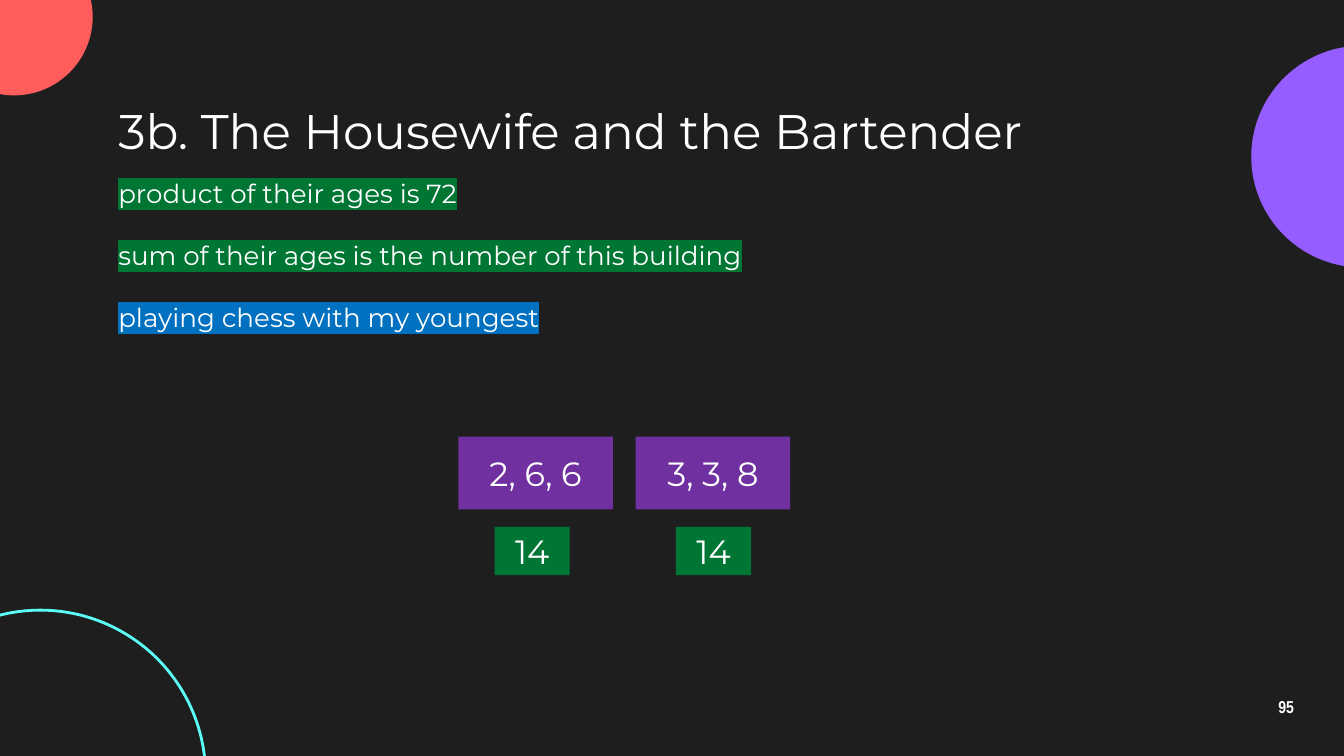
from lxml import etree
from pptx import Presentation
from pptx.dml import color
from pptx.enum import shapes, text
from pptx.oxml import ns
from pptx import util as u

WHITE, GREEN, BLUE, PURPLE = "FFFFFF", "007635", "0070C0", "7030A0"


def rgb(code):
    return color.RGBColor.from_string(code)


class Deck:
    """Style and current slide; lengths are cells of a 100-column grid."""
    font = "Montserrat"
    cell = u.Inches(0.1)

    def __init__(self, cols, rows):
        self.prs = Presentation()
        self.prs.slide_width = self.span(cols)
        self.prs.slide_height = self.span(rows)

    def span(self, n):
        return u.Emu(round(n * self.cell))

    def add(self, back):
        self.slide = self.prs.slides.add_slide(self.prs.slide_layouts[1])
        fill = self.slide.background.fill
        fill.solid()
        fill.fore_color.rgb = rgb(back)

    def place(self, item, box):
        item.left, item.top, item.width, item.height = map(self.span, box)

    def frame(self, item, anchor, pad=0.1):
        tf = item.text_frame
        tf.word_wrap = True
        tf.auto_size = text.MSO_AUTO_SIZE.NONE
        tf.vertical_anchor = anchor
        tf.margin_left = tf.margin_right = u.Inches(0.1)
        tf.margin_top = tf.margin_bottom = u.Inches(pad)
        return tf

    def style(self, para, size, align, font=None, bold=False):
        para.alignment = align
        for run in para.runs:
            run.font.size = u.Pt(size)
            run.font.name = font or self.font
            run.font.bold = bold
            run.font.color.rgb = rgb(WHITE)

    def mark(self, run, code):
        light = etree.Element(ns.qn("a:highlight"))
        etree.SubElement(light, ns.qn("a:srgbClr"), val=code)
        run.font._element.find(ns.qn("a:solidFill")).addnext(light)

    def shape(self, kind, box, fill=None, line=None):
        item = self.slide.shapes.add_shape(kind, *map(self.span, box))
        item.shadow.inherit = False
        if fill:
            item.fill.solid()
            item.fill.fore_color.rgb = rgb(fill)
        else:
            item.fill.background()
        if line:
            item.line.color.rgb = rgb(line)
            item.line.width = u.Pt(1.5)
        else:
            item.line.fill.background()
        return item

    def disc(self, x, y, size, fill=None, line=None):
        self.shape(shapes.MSO_SHAPE.OVAL, (x, y, size, size), fill, line)

    def tile(self, words, box, fill):
        item = self.shape(shapes.MSO_SHAPE.RECTANGLE, box, fill)
        tf = self.frame(item, text.MSO_ANCHOR.MIDDLE, 0.05)
        tf.text = words
        self.style(tf.paragraphs[0], 18, text.PP_ALIGN.CENTER)

    def title(self, words, box):
        item = self.slide.shapes.title
        self.place(item, box)
        tf = self.frame(item, text.MSO_ANCHOR.MIDDLE)
        tf.text = words
        self.style(tf.paragraphs[0], 26, text.PP_ALIGN.LEFT)

    def clues(self, rows, box):
        item = self.slide.placeholders[1]
        self.place(item, box)
        tf = self.frame(item, text.MSO_ANCHOR.TOP)
        tf.text = "\n".join(words for words, _ in rows)
        for i, (para, (_, code)) in enumerate(zip(tf.paragraphs, rows)):
            props = para._p.get_or_add_pPr()
            props.set("marL", "0")
            props.set("indent", "0")
            etree.SubElement(props, ns.qn("a:buNone"))
            para.space_before = u.Pt(16.4 if i else 0)
            self.style(para, 14, text.PP_ALIGN.LEFT)
            self.mark(para.runs[0], code)

    def number(self, words, box):
        item = self.slide.shapes.add_textbox(*map(self.span, box))
        tf = self.frame(item, text.MSO_ANCHOR.MIDDLE)
        tf.text = words
        tf.paragraphs[0].line_spacing = 0.9
        self.style(tf.paragraphs[0], 9.2, text.PP_ALIGN.CENTER, "Arial Narrow", True)


def main():
    deck = Deck(100, 56.25)
    deck.add("1E1E1E")

    # Corner circles
    deck.disc(93.1, 3.4, 16.5, fill="955CFF")
    deck.disc(-4.8, -4.6, 11.7, fill="FF5C5C")
    deck.disc(-9.3, 45.4, 24.6, line="5CFFF8")

    # Title and clues
    deck.title("3b. The Housewife and the Bartender", (7.8, 7.1, 84.4, 5.1))
    deck.clues([
        ("product of their ages is 72", GREEN),
        ("sum of their ages is the number of this building", GREEN),
        ("playing chess with my youngest", BLUE),
    ], (7.8, 12.2, 79.3, 8.1))

    # Ages with their sum below
    for i, ages in enumerate(("2, 6, 6", "3, 3, 8")):
        deck.tile(ages, (34.1 + 13.2 * i, 32.5, 11.5, 5.4), PURPLE)
        deck.tile("14", (36.8 + 13.5 * i, 39.2, 5.6, 3.6), GREEN)

    # Page number
    deck.number("95", (92.7, 51, 6, 3.4))
    deck.prs.save("out.pptx")


if __name__ == "__main__":
    main()
